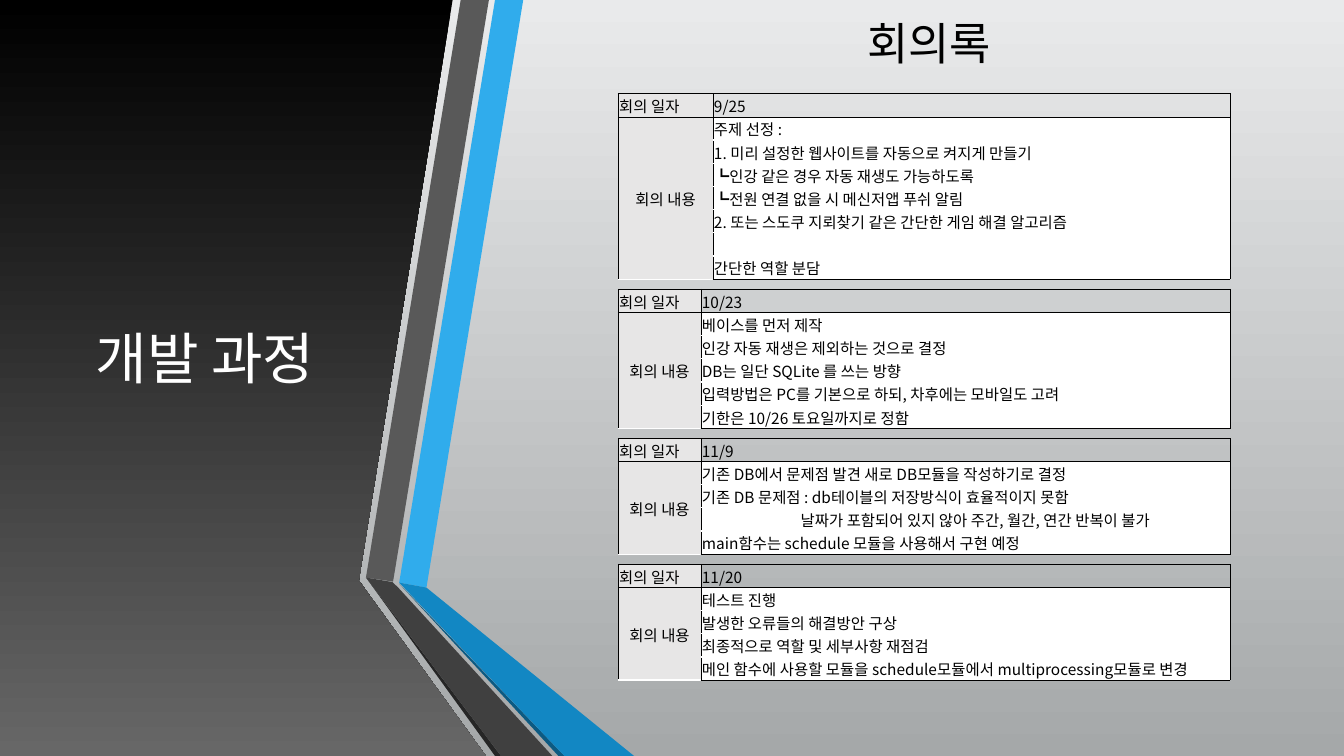
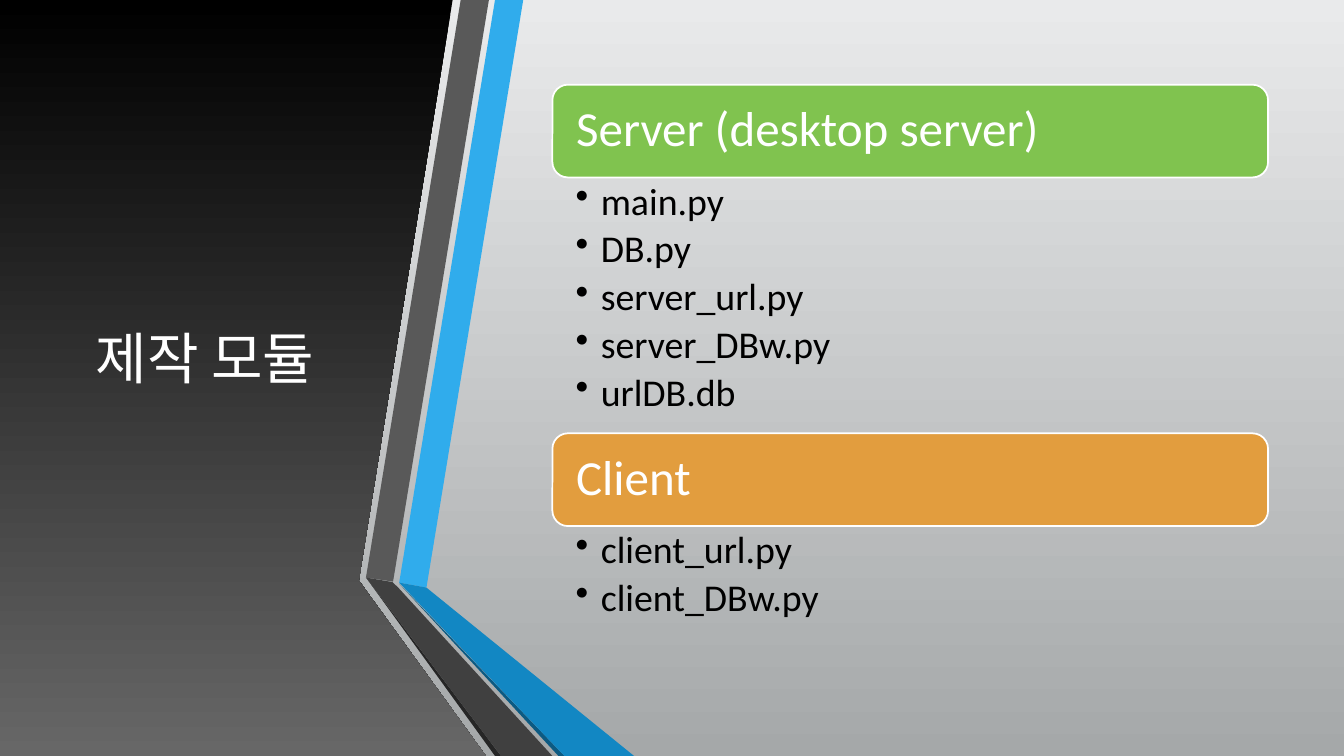
import pptx
import pptx.dml.color
import pptx.enum.shapes
import pptx.enum.text
import pptx.oxml
import pptx.oxml.ns
import pptx.util

COLORS = {
    "paper top": "E9EAEB", "paper bottom": "A5A8A9",
    "panel top": "000000", "panel bottom": "676767",
    "blue": "30ACEC", "blue fold": "1287C3", "blue shade": "0C5A82",
    "gray": "595959", "gray fold": "404040", "gray shade": "262626",
    "label": "E7E6E6", "white": "FFFFFF", "black": "000000",
    "server": "80C34F", "client": "E29D3E",
}
KOREAN, TITLE, BODY = "Noto Sans CJK KR", "Cambria", "Calibri"

PANEL = [(0, 0), (33.68, 0), (26.7, 76.8), (36.15, 100), (0, 100)]
RIBBONS = {
    "blue": [(29.7, 77.07), (31.73, 77.73), (38.93, 0), (36.83, 0)],
    "gray": [(36.38, 0), (34.28, 0), (27.23, 76.4), (29.25, 76.93)],
    "gray shade": [(27.23, 76.4), (36.83, 100), (37.28, 100)],
    "blue shade": [(29.7, 77.2), (41.55, 100), (42, 100)],
    "blue fold": [(29.7, 77.07), (42, 100), (47.18, 100), (31.73, 77.73)],
    "gray fold": [(41.1, 100), (29.63, 77.73), (29.2, 77), (27.23, 76.4), (37.28, 100)],
}

MEETINGS = [
    ("9/25", 7.05, [
        "주제 선정 :",
        "1. 미리 설정한 웹사이트를 자동으로 켜지게 만들기",
        "┗인강 같은 경우 자동 재생도 가능하도록",
        "┗전원 연결 없을 시 메신저앱 푸쉬 알림",
        "2. 또는 스도쿠 지뢰찾기 같은 간단한 게임 해결 알고리즘",
        "",
        "간단한 역할 분담"]),
    ("10/23", 6.15, [
        "베이스를 먼저 제작",
        "인강 자동 재생은 제외하는 것으로 결정",
        "DB는 일단 SQLite 를 쓰는 방향",
        "입력방법은 PC를 기본으로 하되, 차후에는 모바일도 고려",
        "기한은 10/26 토요일까지로 정함"]),
    ("11/9", 6.15, [
        "기존 DB에서 문제점 발견 새로 DB모듈을 작성하기로 결정",
        "기존 DB 문제점 : db테이블의 저장방식이 효율적이지 못함",
        "날짜가 포함되어 있지 않아 주간, 월간, 연간 반복이 불가",
        "main함수는 schedule 모듈을 사용해서 구현 예정"]),
    ("11/20", 6.15, [
        "테스트 진행",
        "발생한 오류들의 해결방안 구상",
        "최종적으로 역할 및 세부사항 재점검",
        "메인 함수에 사용할 모듈을 schedule모듈에서 multiprocessing모듈로 변경"]),
]
CONTINUED = {("11/9", 3): 0.98}
MODULES = [
    ("Server (desktop server)", "server",
     ["main.py", "DB.py", "server_url.py", "server_DBw.py", "urlDB.db"]),
    ("Client", "client", ["client_url.py", "client_DBw.py"]),
]


class Deck:
    """Style and current slide; lengths are percentages of the slide's size."""

    def __init__(self):
        self.deck = pptx.Presentation()
        self.deck.slide_width = pptx.util.Inches(13.33)
        self.deck.slide_height = pptx.util.Inches(7.5)
        self.slide = None

    def x(self, share):
        return round(self.deck.slide_width * share / 100)

    def y(self, share):
        return round(self.deck.slide_height * share / 100)

    def box(self, left, top, width, height):
        return self.x(left), self.y(top), self.x(width), self.y(height)

    def color(self, name):
        return pptx.dml.color.RGBColor.from_string(COLORS[name])

    def paint(self, fill, color):
        fill.solid()
        fill.fore_color.rgb = self.color(color)

    def shade(self, fill, top, bottom):
        fill.gradient()
        fill.gradient_angle = 270
        for stop, color in zip(fill.gradient_stops, (top, bottom)):
            stop.color.rgb = self.color(color)

    def add_text(self, paragraph, text, size, font, color):
        run = paragraph.add_run()
        run.text = text
        run.font.size = pptx.util.Pt(size)
        run.font.color.rgb = self.color(color)
        run.font.name = font
        east = pptx.oxml.parse_xml(
            f'<a:ea {pptx.oxml.ns.nsdecls("a")} typeface="{KOREAN}"/>')
        run._r.get_or_add_rPr().append(east)

    def outline(self, points):
        (start_x, start_y), *rest = [(self.x(x), self.y(y)) for x, y in points]
        builder = self.slide.shapes.build_freeform(start_x, start_y)
        builder.add_line_segments(rest, close=True)
        shape = builder.convert_to_shape()
        shape.shadow.inherit = False
        shape.line.fill.background()
        return shape

    def new_slide(self, title):
        self.slide = self.deck.slides.add_slide(self.deck.slide_layouts[6])
        self.shade(self.slide.background.fill, "paper top", "paper bottom")
        self.shade(self.outline(PANEL).fill, "panel top", "panel bottom")
        self.heading(title, (4.43, 10, 21.68, 74.4), 40, "white")
        for color, points in RIBBONS.items():
            self.paint(self.outline(points).fill, color)

    def text_frame(self, place):
        frame = self.slide.shapes.add_textbox(*self.box(*place)).text_frame
        frame.word_wrap = True
        return frame

    def heading(self, text, place, size, color):
        frame = self.text_frame(place)
        frame.vertical_anchor = pptx.enum.text.MSO_ANCHOR.MIDDLE
        paragraph = frame.paragraphs[0]
        paragraph.alignment = pptx.enum.text.PP_ALIGN.CENTER
        self.add_text(paragraph, text, size, TITLE, color)

    def cell(self, cell, text, edges, fill=None, centered=False, indent=0):
        properties = cell._tc.get_or_add_tcPr()
        for edge in edges:
            properties.append(pptx.oxml.parse_xml(
                f'<a:ln{edge} {pptx.oxml.ns.nsdecls("a")} w="6350"><a:solidFill>'
                f'<a:srgbClr val="{COLORS["black"]}"/></a:solidFill></a:ln{edge}>'))
        if fill:
            self.paint(cell.fill, fill)
        else:
            cell.fill.background()
        cell.margin_left = pptx.util.Inches(0.01 + indent)
        cell.margin_right = cell.margin_top = pptx.util.Inches(0.01)
        cell.margin_bottom = 0
        cell.vertical_anchor = pptx.enum.text.MSO_ANCHOR.MIDDLE
        paragraph = cell.text_frame.paragraphs[0]
        if centered:
            paragraph.alignment = pptx.enum.text.PP_ALIGN.CENTER
        if text:
            self.add_text(paragraph, text, 11, KOREAN, "black")
        else:
            paragraph._p.get_or_add_endParaRPr().set("sz", "1100")

    def minutes(self, date, label_width, notes, top, row_height):
        left, width, count = 46, 45.53, len(notes) + 1
        table = self.slide.shapes.add_table(
            count, 2, *self.box(left, top, width, count * row_height)).table
        table.first_row = table.horz_banding = False
        table.columns[0].width = self.x(label_width)
        table.columns[1].width = self.x(width - label_width)
        labels = ["회의 일자", "회의 내용"] + [""] * (count - 2)
        for row, (label, note) in enumerate(zip(labels, [date] + notes)):
            table.rows[row].height = self.y(row_height)
            edges = ["L", "R"]
            if row <= 1:
                edges.append("T")
            if row in (0, count - 1):
                edges.append("B")
            self.cell(table.cell(row, 0), label, edges, "label", row > 0)
            self.cell(table.cell(row, 1), note, edges, "white" if row else None,
                      indent=CONTINUED.get((date, row), 0))
        table.cell(1, 0).merge(table.cell(count - 1, 0))

    def banner(self, text, place, color):
        shape = self.slide.shapes.add_shape(
            pptx.enum.shapes.MSO_SHAPE.ROUNDED_RECTANGLE, *self.box(*place))
        shape.shadow.inherit = False
        self.paint(shape.fill, color)
        shape.line.color.rgb = self.color("white")
        shape.line.width = pptx.util.Pt(1.25)
        frame = shape.text_frame
        frame.margin_left = pptx.util.Inches(0.19)
        frame.vertical_anchor = pptx.enum.text.MSO_ANCHOR.MIDDLE
        paragraph = frame.paragraphs[0]
        paragraph.alignment = pptx.enum.text.PP_ALIGN.LEFT
        paragraph.line_spacing = 0.9
        self.add_text(paragraph, text, 35, BODY, "white")

    def bullets(self, items, place):
        frame = self.text_frame(place)
        frame.margin_left = pptx.util.Inches(0.23)
        for index, item in enumerate(items):
            paragraph = frame.add_paragraph() if index else frame.paragraphs[0]
            properties = paragraph._p.get_or_add_pPr()
            hang = pptx.util.Inches(0.25)
            properties.set("marL", str(hang))
            properties.set("indent", str(-hang))
            properties.append(pptx.oxml.parse_xml(
                f'<a:buChar {pptx.oxml.ns.nsdecls("a")} char="•"/>'))
            paragraph.line_spacing = 0.9
            paragraph.space_after = pptx.util.Pt(5)
            self.add_text(paragraph, item, 27, BODY, "black")


def main():
    deck = Deck()

    deck.new_slide("개발 과정")
    top, row_height, gap = 12.4, 3.07, 1.3
    for date, label_width, notes in MEETINGS:
        deck.minutes(date, label_width, notes, top, row_height)
        top += (len(notes) + 1) * row_height + gap
    deck.heading("회의록", (58.28, 0, 21.68, 11.2), 32, "black")

    deck.new_slide("제작 모듈")
    left, top, width, banner_height, item_height = 41.1, 11.2, 53.25, 12.27, 6.77
    for name, color, files in MODULES:
        deck.banner(name, (left, top, width, banner_height), color)
        top += banner_height
        list_height = len(files) * item_height
        deck.bullets(files, (left, top, width, list_height))
        top += list_height

    deck.deck.save("out.pptx")


if __name__ == "__main__":
    main()
